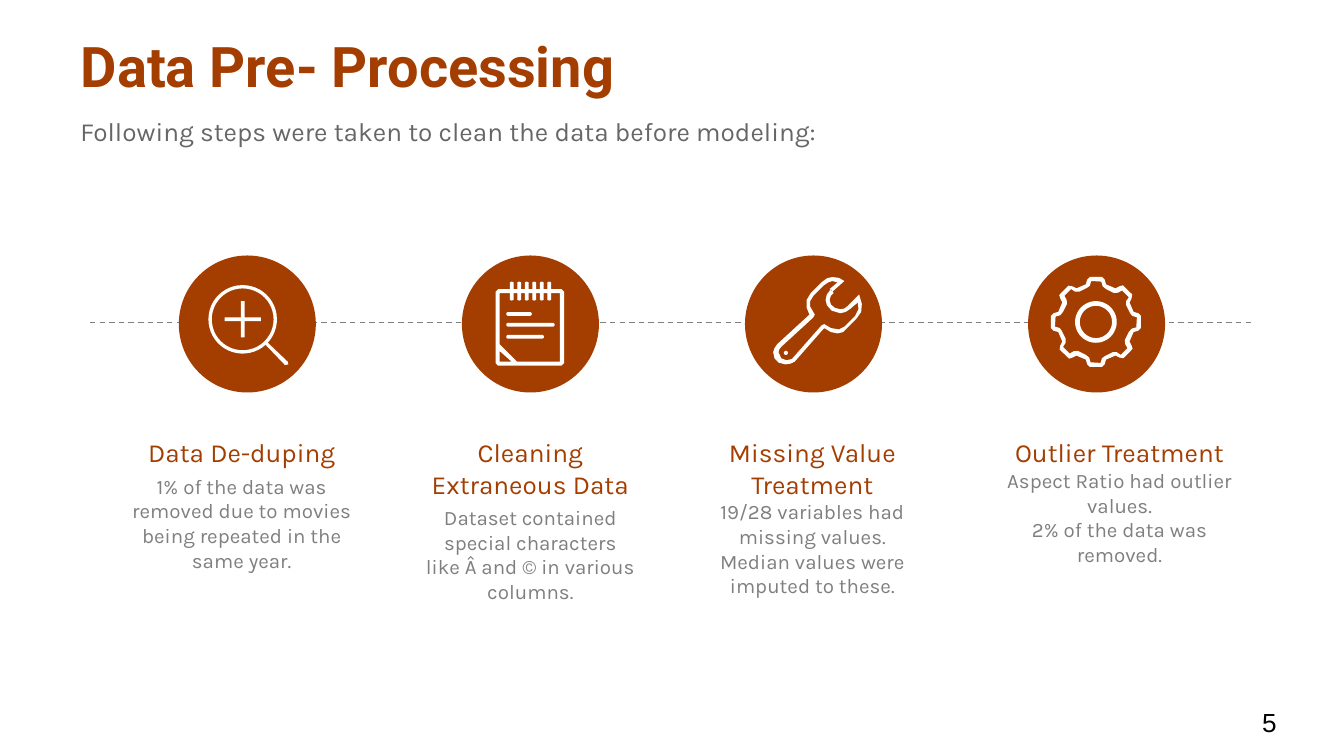
from dataclasses import dataclass
from math import cos, radians, sin

from lxml import etree
from pptx import Presentation
from pptx.dml.color import RGBColor
from pptx.enum.dml import MSO_LINE
from pptx.enum.shapes import MSO_CONNECTOR, MSO_SHAPE
from pptx.enum.text import MSO_ANCHOR, MSO_AUTO_SIZE, PP_ALIGN
from pptx.oxml.ns import qn
from pptx.util import Cm, Pt

LEFT, MID, RIGHT = PP_ALIGN.LEFT, PP_ALIGN.CENTER, PP_ALIGN.RIGHT
STRAIGHT, OVAL, DASH = MSO_CONNECTOR.STRAIGHT, MSO_SHAPE.OVAL, MSO_LINE.DASH


@dataclass(frozen=True)
class Theme:
    rust: str = "A43E00"
    gray: str = "7F7F7F"
    slate: str = "666666"
    white: str = "FFFFFF"
    black: str = "000000"
    head: str = "Roboto"
    body: str = "Karla"
    plain: str = "Arial"
    big: int = 30
    mid: int = 14
    small: int = 11


T = Theme()
DISK = 2.59   # circle width in cm
UNIT = 0.0254  # one icon unit in cm
FINE = 100    # steps in one icon unit


# Text
def say(frame, text, size=T.mid, font=T.body, color=T.gray, bold=False,
        align=LEFT, before=0):
    para = frame.add_paragraph() if frame.text else frame.paragraphs[0]
    para.alignment = align
    para.space_before = Pt(before)
    run = para.add_run()
    run.text = text
    run.font.size, run.font.name, run.font.bold = Pt(size), font, bold
    run.font.color.rgb = RGBColor.from_string(color)


def add_box(slide, box, side=0.25):
    frame = slide.shapes.add_textbox(*map(Cm, box)).text_frame
    frame.word_wrap = True
    frame.margin_left = frame.margin_right = Cm(side)
    return frame


def paint(shape, color):
    shape.shadow.inherit = False
    shape.fill.solid()
    shape.fill.fore_color.rgb = RGBColor.from_string(color)
    shape.line.fill.background()


# Outlines, in icon units from the corner of the circle
def arc(x, y, r, start=0, end=360):
    turns = [radians(start + (end - start) * i / 48) for i in range(49)]
    return [(x + r * cos(a), y + r * sin(a)) for a in turns]


def bar(x, y, right, high=2.8):
    r = high / 2
    return arc(x + r, y, r, 90, 270) + arc(right - r, y, r, -90, 90)


def pins(base, tip):
    spots = []
    for i in range(6):
        x = 37 + 5.6 * i
        spots += [(x - 1.4, base), (x - 1.4, tip), (x, tip + (tip - base) / 8),
                  (x + 1.4, tip), (x + 1.4, base)]
    return spots


def spin(quarter, x, y):
    spots = []
    for _ in range(4):
        spots += [(x + a, y + b) for a, b in quarter]
        quarter = [(-b, a) for a, b in quarter]
    return spots


def lens():
    x = y = 47.5
    rim = arc(x, y, 25.5, 48, 403) + [(81, 79), (81.5, 81), (79, 81.5)]
    plus = spin([(1.4, -1.4), (13.5, -1.4), (13.5, 1.4)], x, y)
    return [rim, arc(x, y, 23), plus]


def note():
    edge = [(25, 27), (27, 25), *pins(25, 20), (74, 25), (76, 27),
            (76, 80), (74, 82), (27, 82), (25, 80)]
    page = [(28, 28), *pins(28, 33), (73, 28), (73, 79), (41, 79), (28, 66)]
    fold = [(28, 71), (28, 79), (37, 79)]
    rows = [bar(33, y, end) for y, end in ((43.5, 52), (51.5, 69), (60.5, 61))]
    return [edge, page, fold, *rows]


def wrench():
    edge = [
        # jaw
        (85, 29), (76, 38), (74, 39.5), (71, 40), (67, 39), (64, 36.5), (63, 33),
        (64, 30), (66, 28), (64, 25), (61, 29), (60, 33), (61, 37), (64.5, 41),
        (71, 43), (75, 42), (78, 40), (84, 35), (84.5, 40), (82, 45),
        # inner side of the grip
        (74, 53), (70, 55), (64, 54), (59, 51), (57, 52), (35, 77), (31, 78),
        (27, 76.5), (25, 72), (25.5, 70), (27, 68), (51, 46), (52, 44),
        (48.5, 38), (48.5, 34), (51, 30), (59, 22), (62, 20), (65, 19), (69, 20),
        # outer side of the grip
        (63, 25), (65, 27), (74, 19), (70, 16.7), (65, 16), (61, 17), (57, 20),
        (49, 28), (46, 33), (46, 39), (48, 44), (24, 66), (22, 69), (21, 72),
        (22, 76.5), (25, 79.7), (30, 81), (34, 80.5), (37, 79), (59, 54),
        (64, 57), (69, 58), (73, 57), (75, 55), (83, 47), (86.5, 42), (87, 36)]
    return [edge, arc(30.5, 72.5, 1.5)]


def gear():
    x, y = 50.5, 49.5
    edge = [(4.5, -33.5), (6.5, -31.5), (7.5, -28), (14.5, -25), (17.5, -26.5),
            (20, -27.3), (27, -20.5), (26.5, -17.5), (25, -14.5), (28, -7.5),
            (31.5, -6.5), (33.5, -4.5)]
    rim = [(4, -30), (5, -26.5), (7.5, -24.5), (13.5, -21.5), (16.5, -21.8),
           (19.5, -23.5), (24.5, -18.5), (22.5, -15.5), (22.5, -12.5),
           (25.5, -6.5), (27, -4.5), (30.5, -3.5)]
    return [spin(edge, x, y), spin(rim, x, y), arc(x, y, 15.5), arc(x, y, 12)]


def draw_icon(slide, x, y, loops):
    pen = None
    for loop in loops:
        first, *rest = [(a * FINE, b * FINE) for a, b in loop]
        if pen is None:
            pen = slide.shapes.build_freeform(*first, scale=Cm(UNIT) / FINE)
        else:
            pen.move_to(*first)
        pen.add_line_segments(rest, close=True)
    paint(pen.convert_to_shape(Cm(x), Cm(y)), T.white)


# Regions
def add_title(slide, box, text):
    title = slide.shapes.title
    title.left, title.top, title.width, title.height = map(Cm, box)
    frame = title.text_frame
    frame.auto_size = MSO_AUTO_SIZE.NONE
    frame.vertical_anchor = MSO_ANCHOR.MIDDLE
    say(frame, text, size=T.big, font=T.head, color=T.rust, bold=True)


def add_line(slide, x, y, width):
    line = slide.shapes.add_connector(STRAIGHT, Cm(x), Cm(y), Cm(x + width), Cm(y))
    line.line.color.rgb = RGBColor.from_string(T.gray)
    line.line.width, line.line.dash_style = Pt(0.75), DASH
    etree.SubElement(line._element.spPr, qn("a:effectLst"))


def add_step(slide, x, y, icon, box, head, gap, lines):
    disk = slide.shapes.add_shape(OVAL, Cm(x), Cm(y), Cm(DISK), Cm(DISK))
    paint(disk, T.rust)
    draw_icon(slide, x, y, icon())
    frame = add_box(slide, box)
    say(frame, head, color=T.rust, align=MID)
    for i, line in enumerate(lines):
        say(frame, line, size=T.small, align=MID, before=0 if i else gap)


# Icon, text left, width and height, heading, gap below it, lines
STEPS = [
    (lens, 2.21, 4.72, 3, "Data De-duping", 3,
     ["1% of the data was removed due to movies being repeated in the same year."]),
    (note, 7.8, 4.45, 3.3, "Cleaning Extraneous Data", 3,
     ["Dataset contained special characters like Â and © in various columns."]),
    (wrench, 13.13, 4.45, 3.81, "Missing Value Treatment", 0,
     ["19/28 variables had missing values.",
      "Median values were imputed to these."]),
    (gear, 18.62, 5.08, 3.3, "Outlier Treatment", 0,
     ["Aspect Ratio had outlier values.", "2% of the data was removed."]),
]


def main():
    deck = Presentation()
    deck.slide_width, deck.slide_height = Cm(25.4), Cm(14.29)
    slide = deck.slides.add_slide(deck.slide_layouts[5])
    add_title(slide, (1.27, 0.38, 22.86, 1.7), "Data Pre- Processing")
    say(add_box(slide, (1.27, 2.06, 18.49, 0.91)),
        "Following steps were taken to clean the data before modeling:",
        color=T.slate)
    add_line(slide, 1.7, 6.1, 22)
    for i, (icon, left, width, high, head, gap, lines) in enumerate(STEPS):
        add_step(slide, 3.38 + 5.35 * i, 4.83, icon, (left, 8.13, width, high),
                 head, gap, lines)
    # Page number
    say(add_box(slide, (23.7, 13.23, 0.43, 0.76), side=0), "5",
        font=T.plain, color=T.black, align=RIGHT)
    deck.save("out.pptx")


if __name__ == "__main__":
    main()
